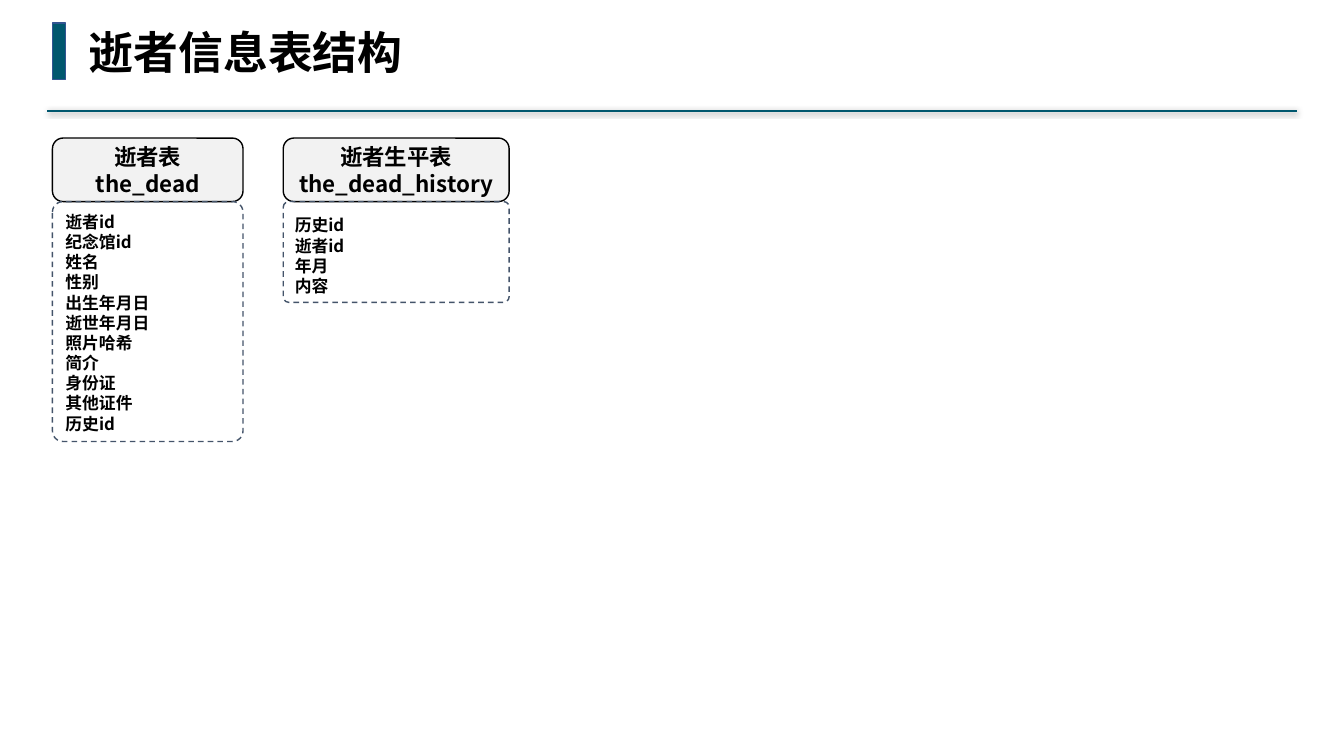
from lxml.etree import SubElement
from pptx import Presentation
from pptx.dml.color import RGBColor
from pptx.enum.dml import MSO_LINE
from pptx.enum.shapes import MSO_CONNECTOR, MSO_SHAPE
from pptx.enum.text import MSO_ANCHOR, MSO_AUTO_SIZE, PP_ALIGN
from pptx.oxml.ns import qn
from pptx.util import Inches, Pt

COLORS = {"teal": "00576E", "bar_edge": "325491", "header": "F2F2F2",
          "dash": "44546A", "black": "000000"}
TITLE_FONT = "DejaVu Sans Mono"
TABLE_FONT = "Noto Sans CJK SC"
HEADER_HEIGHT = 0.63
TABLES = [
    ((0.52, 1.37, 1.89, 3.01), ["逝者表", "the_dead"],
     ["逝者id", "纪念馆id", "姓名", "性别", "出生年月日", "逝世年月日",
      "照片哈希", "简介", "身份证", "其他证件", "历史id"]),
    ((2.81, 1.37, 2.24, 1.63), ["逝者生平表", "the_dead_history"],
     ["历史id", "逝者id", "年月", "内容"]),
]


def color(name):
    """Return the named palette colour."""
    return RGBColor.from_string(COLORS[name])


def write_lines(frame, lines, size, font, align):
    """Write each line as a bold black paragraph."""
    for index, line in enumerate(lines):
        paragraph = frame.paragraphs[0] if index == 0 else frame.add_paragraph()
        paragraph.alignment = align
        run = paragraph.add_run()
        run.text = line
        run.font.size = Pt(size)
        run.font.bold = True
        run.font.color.rgb = color("black")
        run.font.name = font
        SubElement(run.font._element, qn("a:ea"), typeface=font)


def add_box(slide, kind, box, fill, edge):
    """Add a shape with a one-point outline and an optional fill."""
    shape = slide.shapes.add_shape(kind, *map(Inches, box))
    shape.shadow.inherit = False
    if fill:
        shape.fill.solid()
        shape.fill.fore_color.rgb = color(fill)
    else:
        shape.fill.background()
    shape.line.color.rgb = color(edge)
    shape.line.width = Pt(1)
    return shape


def add_rule(slide, left, right, top):
    """Draw the teal rule with its soft shadow."""
    rule = slide.shapes.add_connector(
        MSO_CONNECTOR.STRAIGHT, Inches(right), Inches(top), Inches(left), Inches(top))
    rule.line.color.rgb = color("teal")
    rule.line.width = Pt(1.5)
    effects = SubElement(rule._element.spPr, qn("a:effectLst"))
    shadow = SubElement(effects, qn("a:outerShdw"), blurRad=str(Pt(4)),
                        dist=str(Pt(1)), dir="5400000", rotWithShape="0")
    shade = SubElement(shadow, qn("a:srgbClr"), val=COLORS["black"])
    SubElement(shade, qn("a:alpha"), val="40000")


def add_heading(slide, box, text):
    """Place the accent bar, the title and the rule below them."""
    left, top, width, height = box
    add_rule(slide, left - 0.05, left + width, top + height)
    add_box(slide, MSO_SHAPE.RECTANGLE, (left, top + 0.04, 0.13, 0.56), "teal", "bar_edge")
    title = slide.shapes.title
    title.left, title.top = Inches(left + 0.26), Inches(top)
    title.width, title.height = Inches(3.34), Inches(0.64)
    frame = title.text_frame
    frame.word_wrap = False
    frame.auto_size = MSO_AUTO_SIZE.SHAPE_TO_FIT_TEXT
    frame.vertical_anchor = MSO_ANCHOR.TOP
    write_lines(frame, [text], 32, TITLE_FONT, PP_ALIGN.LEFT)


def add_entity(slide, box, names, fields):
    """Place a database table: a filled header over a dashed field list."""
    left, top, width, height = box
    header = add_box(slide, MSO_SHAPE.ROUNDED_RECTANGLE,
                     (left, top, width, HEADER_HEIGHT), "header", "black")
    frame = header.text_frame
    frame.word_wrap = False
    frame.vertical_anchor = MSO_ANCHOR.MIDDLE
    frame.margin_left = frame.margin_right = Inches(0.04)
    frame.margin_top = frame.margin_bottom = Inches(0.04)
    write_lines(frame, names, 16, TABLE_FONT, PP_ALIGN.CENTER)

    body = add_box(slide, MSO_SHAPE.ROUNDED_RECTANGLE,
                   (left, top + HEADER_HEIGHT, width, height - HEADER_HEIGHT), None, "dash")
    body.adjustments[0] = 0.055
    body.line.dash_style = MSO_LINE.DASH
    body.text_frame.word_wrap = True
    body.text_frame.vertical_anchor = MSO_ANCHOR.BOTTOM
    write_lines(body.text_frame, fields, 12, TABLE_FONT, PP_ALIGN.LEFT)


def main():
    """Build and save the table structure slide."""
    presentation = Presentation()
    presentation.slide_width = Inches(13.33)
    presentation.slide_height = Inches(7.5)
    slide = presentation.slides.add_slide(presentation.slide_layouts[5])
    add_heading(slide, (0.52, 0.19, 12.34, 0.91), "逝者信息表结构")
    for box, names, fields in TABLES:
        add_entity(slide, box, names, fields)
    presentation.save("out.pptx")


main()
